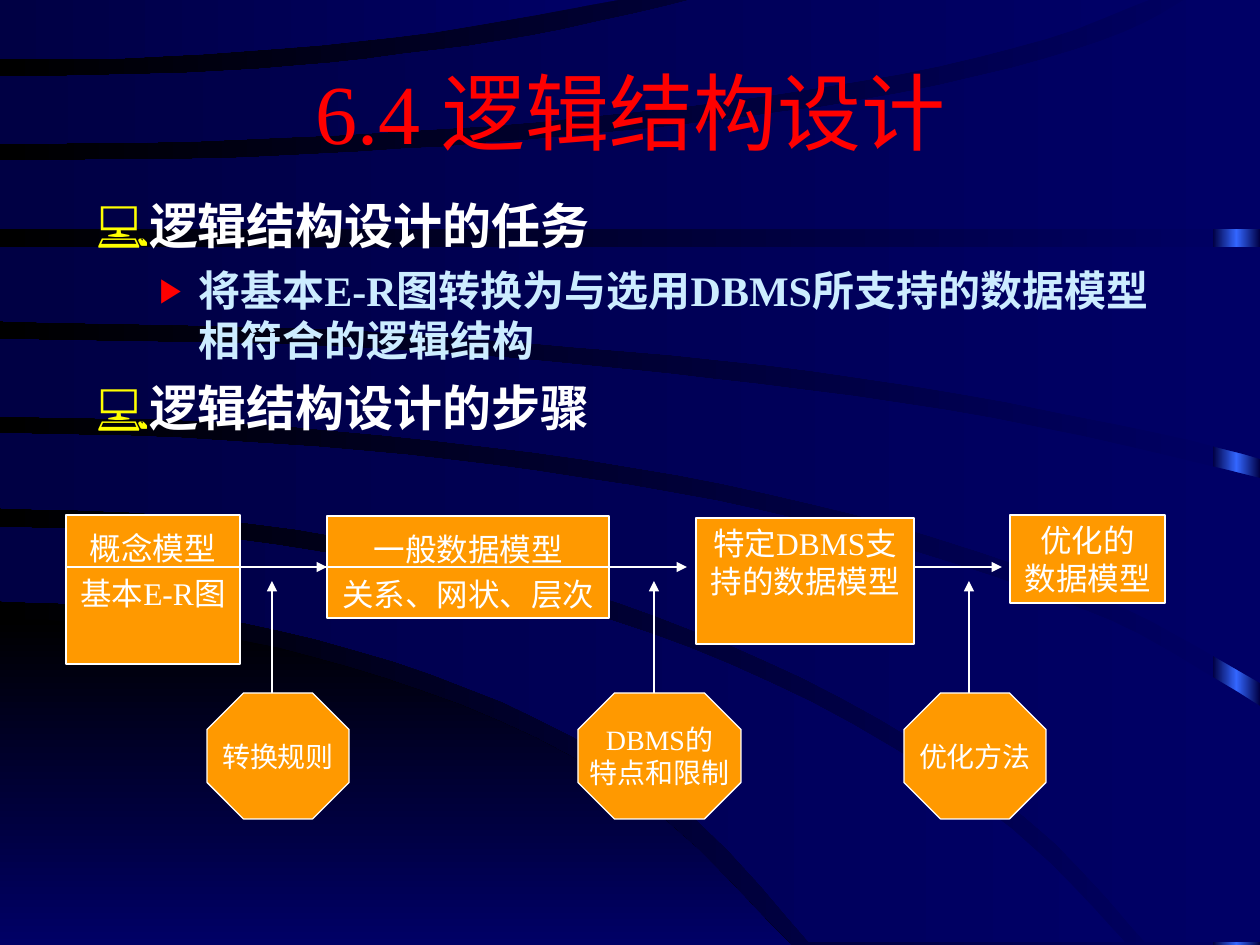
from copy import deepcopy

from lxml import etree
from pptx import Presentation
from pptx.dml.color import RGBColor
from pptx.enum.shapes import MSO_CONNECTOR, MSO_SHAPE
from pptx.enum.text import MSO_ANCHOR, PP_ALIGN
from pptx.oxml.ns import qn
from pptx.util import Pt

EMU_PER_PX = 914400 / 126
WIDTH, HEIGHT = 1260, 945
FONT = "Times New Roman"

RECTANGLE, OCTAGON = MSO_SHAPE.RECTANGLE, MSO_SHAPE.OCTAGON
STRAIGHT = MSO_CONNECTOR.STRAIGHT
TOP, MIDDLE = MSO_ANCHOR.TOP, MSO_ANCHOR.MIDDLE
CENTER = PP_ALIGN.CENTER
LEFT_SIDE, RIGHT_SIDE = 1, 3

NAVY = RGBColor(0x00, 0x00, 0x66)
DEEP_NAVY = RGBColor(0x00, 0x00, 0x44)
BLACK = RGBColor(0x00, 0x00, 0x00)
BLUE = RGBColor(0x33, 0x66, 0xFF)
ORANGE = RGBColor(0xFF, 0x99, 0x00)
WHITE = RGBColor(0xFF, 0xFF, 0xFF)
RED = RGBColor(0xFF, 0x00, 0x00)
YELLOW = RGBColor(0xFF, 0xFF, 0x00)
PALE_BLUE = RGBColor(0xCC, 0xEC, 0xFF)

SHADOW_EDGE = [(0, 619), (108, 624), (243, 641), (384, 678), (536, 738), (665, 820), (791, 945)]

# Upper edge, lower edge and, where the edges end apart, the corner between them.
BANDS = [
    ([(0, 527), (164, 533), (314, 551), (481, 583), (649, 633), (811, 702), (965, 794),
      (1050, 863), (1125, 942)],
     [(0, 601), (132, 607), (278, 630), (431, 674), (572, 736), (697, 820), (809, 942)], []),
    ([(0, 433), (181, 438), (364, 451), (537, 471), (718, 501), (873, 539), (1031, 590),
      (1139, 634), (1260, 706)],
     [(0, 508), (176, 515), (336, 536), (510, 571), (656, 616), (801, 677), (953, 764),
      (1056, 844), (1145, 942)], [(1260, 942)]),
    ([(0, 339), (212, 343), (379, 349), (552, 362), (713, 379), (900, 403), (1082, 436),
      (1260, 478)],
     [(0, 416), (210, 421), (382, 435), (582, 459), (769, 494), (936, 538), (1110, 601),
      (1260, 683)], []),
    ([(0, 247), (1260, 247)],
     [(0, 321), (185, 325), (350, 330), (573, 347), (765, 365), (955, 393), (1153, 432),
      (1260, 459)], []),
    ([(0, 161), (198, 159), (360, 152), (529, 140), (698, 123), (862, 100), (1012, 68),
      (1124, 32), (1184, 0)],
     [(0, 229), (1260, 229)], [(1260, 0)]),
    ([(0, 77), (152, 74), (294, 66), (437, 50), (561, 30), (690, 0)],
     [(0, 144), (159, 142), (340, 135), (536, 122), (727, 101), (901, 74), (1046, 39),
      (1149, 0)], []),
    ([(0, 0), (618, 0)],
     [(0, 59), (127, 58), (285, 48), (436, 32), (618, 0)], []),
]


def px(length):
    return round(length * EMU_PER_PX)


def smooth(knots, steps=4):
    """Points of a Catmull-Rom curve through the knots."""
    padded = [knots[0], *knots, knots[-1]]
    points = [knots[0]]
    for before, start, end, after in zip(padded, padded[1:], padded[2:], padded[3:]):
        for step in range(1, steps + 1):
            t = step / steps
            points.append(tuple(
                (2 * b + (c - a) * t + (2 * a - 5 * b + 4 * c - d) * t ** 2
                 + (3 * b - a - 3 * c + d) * t ** 3) / 2
                for a, b, c, d in zip(before, start, end, after)))
    return points


def fill_gradient(fill, colors, angle):
    """Evenly spaced stops; the angle runs counter-clockwise."""
    fill.gradient()
    fill.gradient_angle = angle
    for index, (stop, color) in enumerate(zip(fill.gradient_stops, colors)):
        stop.position = index / (len(colors) - 1)
        stop.color.rgb = color


def add_outline(slide, points, colors, angle):
    builder = slide.shapes.build_freeform(*points[0], scale=EMU_PER_PX)
    builder.add_line_segments(points[1:])
    outline = builder.convert_to_shape()
    outline.shadow.inherit = False
    outline.line.fill.background()
    fill_gradient(outline.fill, colors, angle)


def add_edge_strip(slide):
    strip = slide.shapes.add_shape(RECTANGLE, px(1213), 0, px(47), px(HEIGHT))
    strip.shadow.inherit = False
    strip.line.fill.background()
    strip.fill.gradient()
    stops = next(strip._element.spPr.iter(qn("a:gsLst")))
    stops.append(deepcopy(stops[0]))
    fill_gradient(strip.fill, [DEEP_NAVY, BLUE, DEEP_NAVY], 180)


def add_backdrop(slide):
    fill_gradient(slide.background.fill, [NAVY, BLACK], 180)
    add_edge_strip(slide)
    add_outline(slide, smooth(SHADOW_EDGE) + [(0, HEIGHT)], [BLACK, NAVY], 270)
    for upper, lower, corner in BANDS:
        add_outline(slide, smooth(upper) + corner + smooth(lower)[::-1], [NAVY, DEEP_NAVY], 180)


def set_font(paragraph, size, color, bold=False):
    font = paragraph.font
    font.name, font.size, font.bold = FONT, Pt(size), bold
    font.color.rgb = color


def add_title(slide, text):
    frame = slide.shapes.add_textbox(px(95), px(32), px(1071), px(157)).text_frame
    frame.word_wrap = True
    frame.vertical_anchor = MIDDLE
    title = frame.paragraphs[0]
    title.text = text
    title.alignment = CENTER
    set_font(title, 48, RED)


def set_bullet(paragraph, char, color, margin, hanging, percent):
    properties = paragraph._p.get_or_add_pPr()
    properties.set("marL", str(px(margin)))
    properties.set("indent", str(-px(hanging)))
    bullet_color = etree.SubElement(properties, qn("a:buClr"))
    etree.SubElement(bullet_color, qn("a:srgbClr"), val=str(color))
    etree.SubElement(properties, qn("a:buSzPct"), val=str(percent * 1000))
    etree.SubElement(properties, qn("a:buFont"), typeface=FONT)
    etree.SubElement(properties, qn("a:buChar"), char=char)


def add_outline_text(slide, items):
    frame = slide.shapes.add_textbox(px(84), px(189), px(1103), px(300)).text_frame
    frame.word_wrap = True
    for index, (level, text) in enumerate(items):
        item = frame.paragraphs[0] if index == 0 else frame.add_paragraph()
        item.text = text
        item.level = level
        if index:
            item.space_before = Pt(6 if level else 7)
        if level:
            set_bullet(item, "▶", RED, 102, 39, 80)
            set_font(item, 24, PALE_BLUE, bold=True)
        else:
            set_bullet(item, "💻", YELLOW, 47, 47, 100)
            set_font(item, 28, WHITE, bold=True)


def add_node(slide, kind, box, lines, size, anchor, spacing=1.0):
    node = slide.shapes.add_shape(kind, *map(px, box))
    node.shadow.inherit = False
    node.fill.solid()
    node.fill.fore_color.rgb = ORANGE
    node.line.color.rgb = WHITE
    node.line.width = Pt(0.75)
    frame = node.text_frame
    frame.word_wrap = kind == RECTANGLE
    frame.vertical_anchor = anchor
    frame.text = "\n".join(lines)
    for paragraph in frame.paragraphs:
        paragraph.alignment = CENTER
        paragraph.line_spacing = spacing
        set_font(paragraph, size, WHITE)
    return node


def add_line(slide, start, end, width=0.75, arrow=True):
    line = slide.shapes.add_connector(STRAIGHT, *map(px, (*start, *end)))
    line.line.color.rgb = WHITE
    line.line.width = Pt(width)
    if arrow:
        etree.SubElement(line.line._get_or_add_ln(), qn("a:tailEnd"), type="triangle")
    etree.SubElement(line._element.spPr, qn("a:effectLst"))
    return line


def add_process(slide):
    flow_y, rule_top, rule_height = 567, 693, 126
    add_node(slide, RECTANGLE, (66, 515, 174, 149), ["概念模型", "基本E-R图"], 18, TOP, 1.2)
    general_model = add_node(slide, RECTANGLE, (327, 516, 282, 102),
                             ["一般数据模型", "关系、网状、层次"], 18, TOP, 1.2)
    add_node(slide, RECTANGLE, (696, 518, 218, 126), ["特定DBMS支", "持的数据模型"], 18, TOP)
    add_node(slide, RECTANGLE, (1010, 515, 155, 88), ["优化的", "数据模型"], 18, TOP)

    add_line(slide, (66, flow_y), (240, flow_y), width=1, arrow=False)
    add_line(slide, (320, flow_y), (615, flow_y), arrow=False)
    to_general = add_line(slide, (240, flow_y), (327, flow_y))
    to_general.end_connect(general_model, LEFT_SIDE)
    to_specific = add_line(slide, (609, flow_y), (687, flow_y))
    to_specific.begin_connect(general_model, RIGHT_SIDE)
    add_line(slide, (915, flow_y), (1002, flow_y))

    for left, width, arrow_x, lines in [
        (207, 142, 272, ["转换规则"]),
        (578, 163, 654, ["DBMS的", "特点和限制"]),
        (904, 142, 969, ["优化方法"]),
    ]:
        rule = add_node(slide, OCTAGON, (left, rule_top, width, rule_height), lines, 16, MIDDLE)
        rule.adjustments[0] = 0.29
        add_line(slide, (arrow_x, rule_top), (arrow_x, 581))


def main():
    presentation = Presentation()
    presentation.slide_width, presentation.slide_height = px(WIDTH), px(HEIGHT)
    slide = presentation.slides.add_slide(presentation.slide_layouts[6])
    add_backdrop(slide)
    add_title(slide, "6.4 逻辑结构设计")
    add_outline_text(slide, [
        (0, "逻辑结构设计的任务"),
        (1, "将基本E-R图转换为与选用DBMS所支持的数据模型相符合的逻辑结构"),
        (0, "逻辑结构设计的步骤"),
    ])
    add_process(slide)
    presentation.save("out.pptx")


if __name__ == "__main__":
    main()
